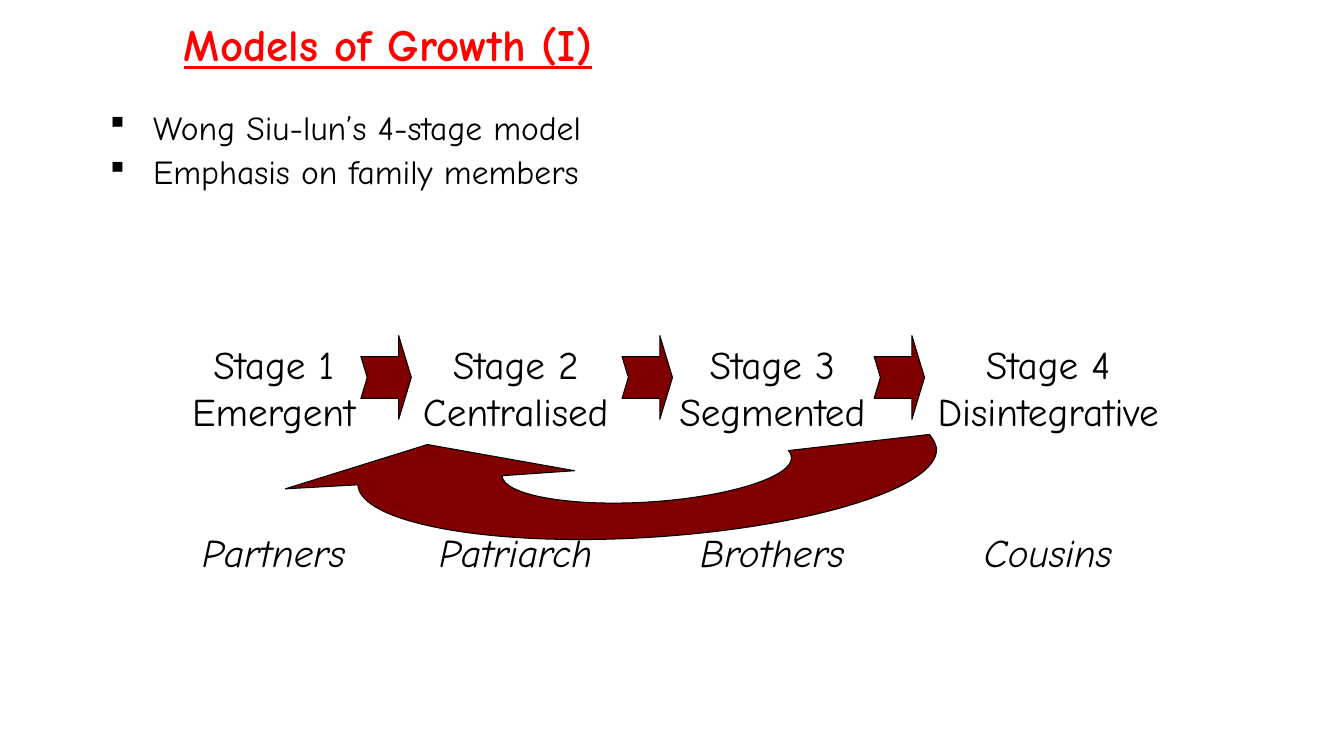
from lxml import etree
from pptx import Presentation
from pptx import util as u
from pptx.dml.color import RGBColor
from pptx.enum import shapes, text
from pptx.oxml import ns

FONT = "Comic Neue"
COLORS = {"title": "FF0000", "text": "000000", "arrow": "800000",
          "outline": "000000", "ring": "FFFFFF"}

BULLETS = ["Wong Siu-lun’s 4-stage model", "Emphasis on family members"]
STAGES = [
    (1.73, 1.97, "Stage 1", "Emergent", "Partners"),
    (3.97, 2.29, "Stage 2", "Centralised", "Patriarch"),
    (6.53, 2.26, "Stage 3", "Segmented", "Brothers"),
    (8.99, 2.81, "Stage 4", "Disintegrative", "Cousins"),
]
STAGE_TOP = 3.33
ARROW_LEFTS = [3.58, 6.17, 8.67]
RETURN_ARROW = [
    [(4.98, 4.72)],
    [(4.99, 4.91), (5.65, 5.03), (6.44, 4.98)],
    [(7.23, 4.93), (7.86, 4.73), (7.85, 4.54)],
    [(7.85, 4.51), (7.84, 4.49), (7.82, 4.47)],
    [(9.22, 4.31)],
    [(9.26, 4.36), (9.28, 4.40), (9.29, 4.45)],
    [(9.31, 4.84), (8.04, 5.23), (6.46, 5.33)],
    [(4.88, 5.43), (3.57, 5.19), (3.55, 4.81)],
    [(2.83, 4.85)],
    [(4.24, 4.41)],
    [(5.70, 4.67)],
]


def rgb(name):
    """Return the named colour."""
    return RGBColor.from_string(COLORS[name])


def add_text(s, box, lines, size, align, color="text", wrap=True):
    """Add a text box with one paragraph per line and return its paragraphs."""
    tf = s.shapes.add_textbox(*map(u.Inches, box)).text_frame
    tf.word_wrap = wrap
    tf.auto_size = text.MSO_AUTO_SIZE.SHAPE_TO_FIT_TEXT
    tf.text = "\n".join(lines)
    for p in tf.paragraphs:
        p.alignment = align
        p.font.name = FONT
        p.font.size = u.Pt(size)
        p.font.color.rgb = rgb(color)
    return tf.paragraphs


def add_title(s, title):
    """Add the bold, underlined heading."""
    p = add_text(s, (0.72, 0.12, 6.26, 0.64), [title], 32, text.PP_ALIGN.CENTER, "title")[0]
    p.font.bold = True
    p.font.underline = True


def add_bullets(s, lines):
    """Add the square-bulleted list."""
    indent = u.Inches(0.43)
    for p in add_text(s, (0.99, 0.97, 8.58, 0.99), lines, 24, text.PP_ALIGN.JUSTIFY):
        p.line_spacing = 1.1
        pPr = p._p.get_or_add_pPr()
        pPr.set("marL", str(indent))
        pPr.set("indent", str(-indent))
        defaults = pPr.find(ns.qn("a:defRPr"))
        defaults.addprevious(etree.Element(ns.qn("a:buFont"), typeface="Wingdings", charset="2"))
        defaults.addprevious(etree.Element(ns.qn("a:buChar"), char="§"))


def add_stage(s, left, width, *lines):
    """Add a stage with its name and, lower down, its family members."""
    box = (left, STAGE_TOP, width, 2.46)
    members = add_text(s, box, lines, 28, text.PP_ALIGN.CENTER, wrap=False)[-1]
    members.space_before = u.Pt(67)
    members.font.italic = True


def set_outline(sp, color, width):
    """Give a shape a plain outline without a shadow."""
    sp.shadow.inherit = False
    sp.line.color.rgb = rgb(color)
    sp.line.width = u.Pt(width)


def paint_arrow(sp):
    """Give an arrow its fill and thin outline."""
    set_outline(sp, "outline", 0.75)
    sp.fill.solid()
    sp.fill.fore_color.rgb = rgb("arrow")


def add_corner_ring(s):
    """Add the white ring in the bottom right corner."""
    box = map(u.Inches, (12.5, 6.84, 0.44, 0.44))
    sp = s.shapes.add_shape(shapes.MSO_SHAPE.OVAL, *box)
    sp.fill.background()
    set_outline(sp, "ring", 1)


def add_step_arrow(s, left):
    """Add a notched arrow between two stages."""
    box = map(u.Inches, (left, STAGE_TOP, 0.5, 0.83))
    sp = s.shapes.add_shape(shapes.MSO_SHAPE.NOTCHED_RIGHT_ARROW, *box)
    sp.adjustments[0] = 0.5
    sp.adjustments[1] = 0.25
    paint_arrow(sp)


def add_return_arrow(s, segments):
    """Add the curved arrow from straight and cubic segments."""
    ends = [tuple(map(u.Inches, segment[-1])) for segment in segments]
    builder = s.shapes.build_freeform(*ends[0])
    builder.add_line_segments(ends[1:], close=True)
    sp = builder.convert_to_shape()
    lines = list(sp._element.iter(ns.qn("a:lnTo")))
    for line, segment in zip(lines, segments[1:]):
        if len(segment) == 3:
            curve = etree.Element(ns.qn("a:cubicBezTo"))
            for x, y in segment:
                etree.SubElement(curve, ns.qn("a:pt"), x=str(u.Inches(x) - sp.left),
                                 y=str(u.Inches(y) - sp.top))
            line.getparent().replace(line, curve)
    paint_arrow(sp)


def main():
    """Build the slide and save it."""
    prs = Presentation()
    prs.slide_width = u.Inches(13.33)
    prs.slide_height = u.Inches(7.5)
    s = prs.slides.add_slide(prs.slide_layouts[6])
    add_corner_ring(s)
    add_bullets(s, BULLETS)
    add_title(s, "Models of Growth (I)")
    for stage in STAGES:
        add_stage(s, *stage)
    for left in ARROW_LEFTS:
        add_step_arrow(s, left)
    add_return_arrow(s, RETURN_ARROW)
    prs.save("out.pptx")


if __name__ == "__main__":
    main()
